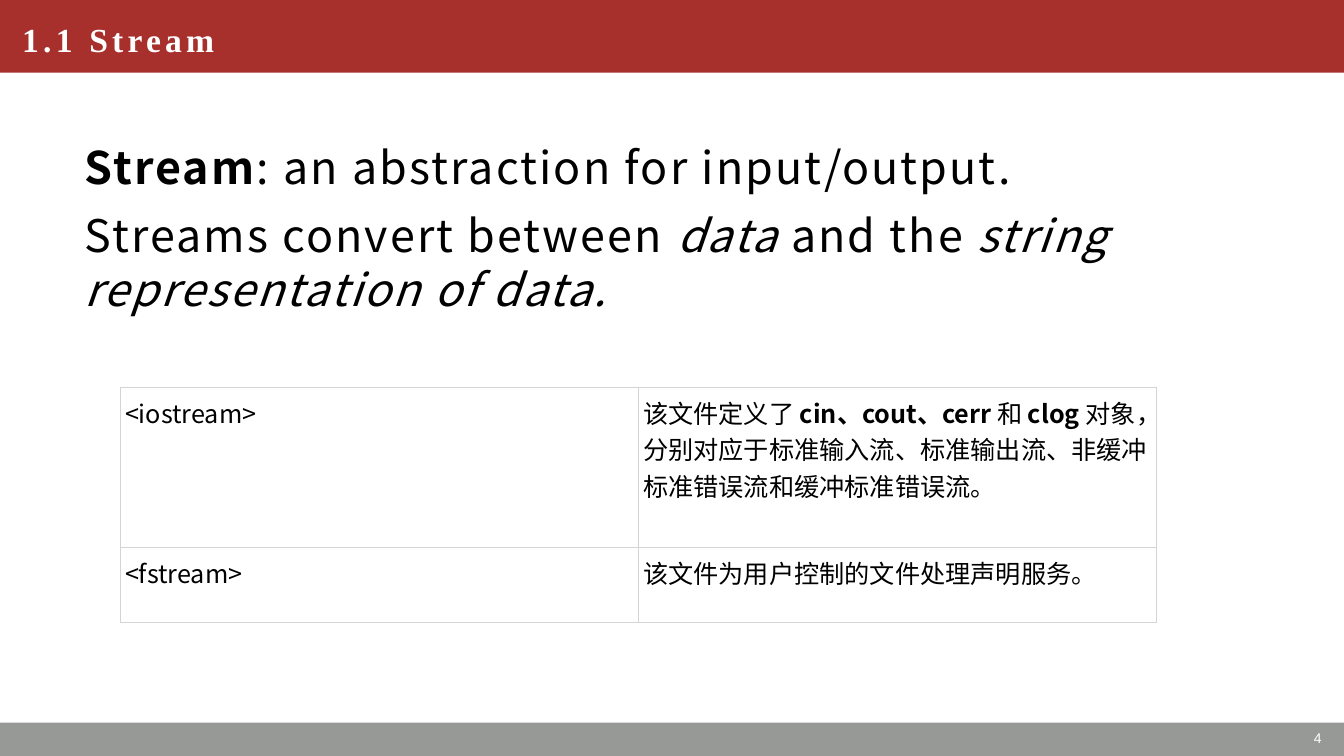
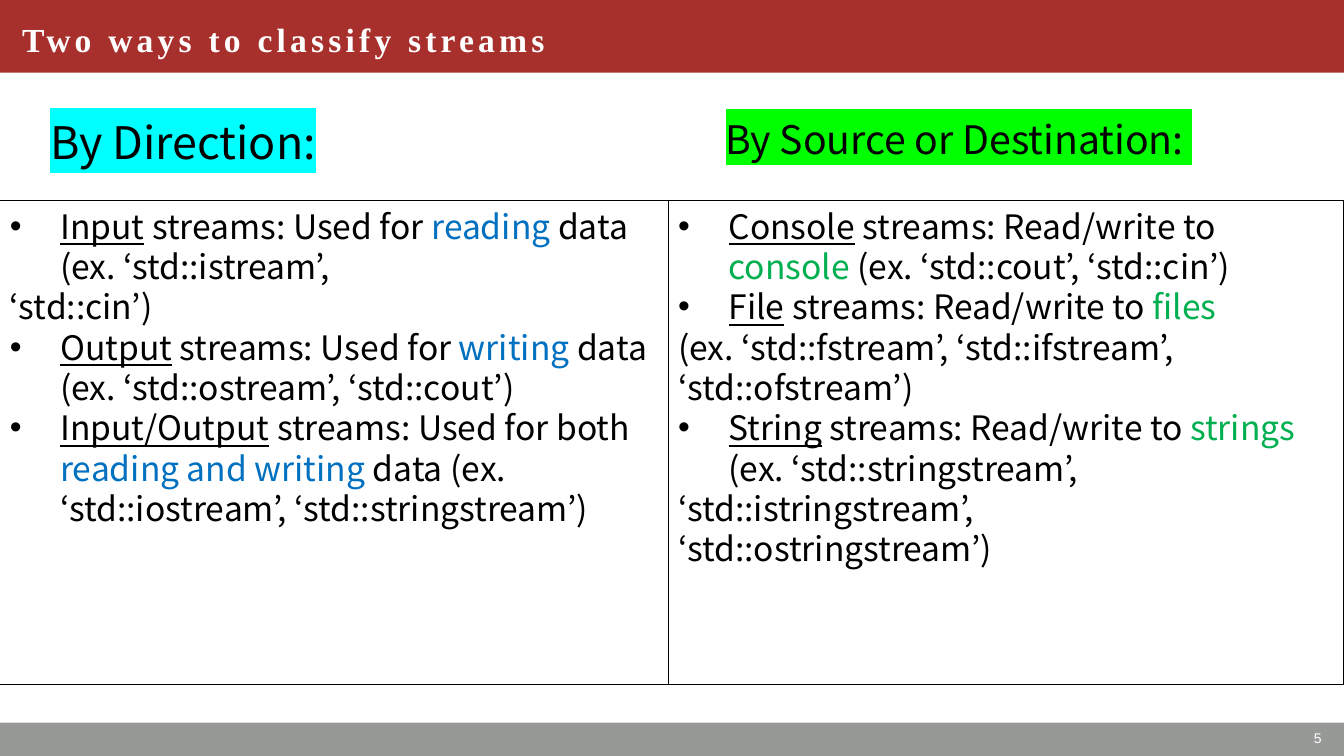
from lxml import etree
from pptx import Presentation
from pptx.dml.color import RGBColor
from pptx.enum.shapes import MSO_SHAPE
from pptx.enum.text import MSO_ANCHOR, MSO_AUTO_SIZE, PP_ALIGN
from pptx.oxml.ns import qn
from pptx.util import Inches, Pt

RECTANGLE = MSO_SHAPE.RECTANGLE
TOP, MIDDLE = MSO_ANCHOR.TOP, MSO_ANCHOR.MIDDLE
LEFT, RIGHT = PP_ALIGN.LEFT, PP_ALIGN.RIGHT
NO_FIT = MSO_AUTO_SIZE.NONE

RED, GREY, WHITE, BLACK = "A8302C", "979997", "FFFFFF", "000000"
BLUE, GREEN, CYAN, LIME = "0070C0", "00B050", "00FFFF", "00FF00"
TABLE_LINE = "D4D4D4"
BODY_FONT, TITLE_FONT, NUMBER_FONT = "Noto Sans CJK JP", "Times New Roman", "Arial"
SLIDE_WIDTH, SLIDE_HEIGHT = 40 / 3, 7.5
HARD_SPACE = chr(160)  # keeps neighbouring words on one line

BOLD, ITALIC, UNDERLINE = {"bold": True}, {"italic": True}, {"underline": True}
IN_BLUE, IN_GREEN = {"color": BLUE}, {"color": GREEN}


def rgb(value):
    return RGBColor.from_string(value)


def add_color(parent, value):
    etree.SubElement(parent, qn("a:srgbClr")).set("val", value)


def add_text(paragraph, text, size=18, font=BODY_FONT, color=BLACK, bold=False,
             italic=False, underline=False, spacing=0, highlight=None):
    """Append one formatted run to a paragraph."""
    run = paragraph.add_run()
    run.text = text
    run.font.size = Pt(size)
    run.font.bold, run.font.italic, run.font.underline = bold, italic, underline
    run.font.color.rgb = rgb(color)
    properties = run.font._element
    if highlight:
        add_color(etree.SubElement(properties, qn("a:highlight")), highlight)
    run.font.name = font
    etree.SubElement(properties, qn("a:ea")).set("typeface", font)
    if spacing:
        properties.set("spc", str(int(spacing * 100)))


def set_bullet(paragraph, bulleted):
    indent = Inches(0.5) if bulleted else 0
    properties = paragraph._p.get_or_add_pPr()
    properties.set("marL", str(indent))
    properties.set("indent", str(-indent))
    if bulleted:
        etree.SubElement(properties, qn("a:buFont")).set("typeface", NUMBER_FONT)
        etree.SubElement(properties, qn("a:buChar")).set("char", "•")
    else:
        etree.SubElement(properties, qn("a:buNone"))


def fill_text(frame, paragraphs, anchor=TOP, align=LEFT, space_after=0, **style):
    """Write paragraphs, each a list of pieces: a string or (string, format).

    A paragraph that starts with an underlined term gets a bullet.
    """
    frame.word_wrap = True
    frame.auto_size = NO_FIT
    frame.vertical_anchor = anchor
    for index, pieces in enumerate(paragraphs):
        paragraph = frame.add_paragraph() if index else frame.paragraphs[0]
        paragraph.alignment = align
        paragraph.line_spacing = 1.0
        paragraph.space_before, paragraph.space_after = Pt(0), Pt(space_after)
        pieces = [piece if isinstance(piece, tuple) else (piece, {}) for piece in pieces]
        set_bullet(paragraph, "underline" in pieces[0][1])
        for text, changes in pieces:
            add_text(paragraph, text, **{**style, **changes})


def place(shape, box):
    shape.left, shape.top, shape.width, shape.height = map(Inches, box)


def add_rectangle(slide, box, fill=None, line=None):
    shape = slide.shapes.add_shape(RECTANGLE, *map(Inches, box))
    shape.shadow.inherit = False
    if fill:
        shape.fill.solid()
        shape.fill.fore_color.rgb = rgb(fill)
    else:
        shape.fill.background()
    if line:
        shape.line.color.rgb = rgb(line)
        shape.line.width = Pt(0.75)
    else:
        shape.line.fill.background()
    return shape


def add_label(slide, box, text, **style):
    label = slide.shapes.add_textbox(*map(Inches, box))
    fill_text(label.text_frame, [[text]], **style)


def add_master_bands(presentation, slide):
    """Draw the header and footer bands and move them to the slide master."""
    tree = presentation.slide_master.shapes.element
    bands = [((0, 0, SLIDE_WIDTH, 0.72), RED),
             ((0, 7.17, SLIDE_WIDTH, 0.33), GREY)]
    for number, (box, fill) in enumerate(bands, start=100):
        band = add_rectangle(slide, box, fill=fill).element
        band.nvSpPr.cNvPr.set("id", str(number))
        tree.insert(2, band)


def start_slide(presentation, layout, title, number):
    slide = presentation.slides.add_slide(presentation.slide_layouts[layout])
    place(slide.shapes.title, (0.12, 0, 7.1, 0.77))
    fill_text(slide.shapes.title.text_frame, [[title]], anchor=MIDDLE, size=24,
              font=TITLE_FONT, color=WHITE, bold=True, spacing=3)
    add_label(slide, (10.26, 7.15, 2.95, 0.35), str(number), anchor=MIDDLE,
              align=RIGHT, size=10, font=NUMBER_FONT, color=WHITE)
    return slide


def set_borders(cell, color):
    properties = cell._tc.get_or_add_tcPr()
    for index, side in enumerate(("lnL", "lnR", "lnT", "lnB")):
        border = etree.Element(qn(f"a:{side}"), w=str(Pt(0.75)))
        add_color(etree.SubElement(border, qn("a:solidFill")), color)
        properties.insert(index, border)


def add_header_table(slide, box, row_heights, rows):
    left, top, width = box
    frame = slide.shapes.add_table(len(rows), len(rows[0]), Inches(left), Inches(top),
                                   Inches(width), Inches(sum(row_heights)))
    table = frame.table
    table.first_row = table.horz_banding = False
    for row_index, row in enumerate(rows):
        table.rows[row_index].height = Inches(row_heights[row_index])
        for column_index, pieces in enumerate(row):
            cell = table.cell(row_index, column_index)
            cell.fill.solid()
            cell.fill.fore_color.rgb = rgb(WHITE)
            set_borders(cell, TABLE_LINE)
            cell.margin_left = cell.margin_right = Inches(0.05)
            cell.margin_top = cell.margin_bottom = Inches(0.07)
            fill_text(cell.text_frame, [pieces])


def add_category(slide, box, heading, heading_box, heading_style, paragraphs):
    """Place a highlighted heading above an outlined list."""
    add_label(slide, heading_box, heading, **heading_style)
    panel = add_rectangle(slide, box, line=BLACK)
    fill_text(panel.text_frame, paragraphs, size=24)


def build_stream_slide(slide):
    # Definition
    body = slide.placeholders[1]
    place(body, (0.74, 1.34, 12, 1.95))
    fill_text(body.text_frame, [
        [("Stream", BOLD), ": an abstraction for input/output."],
        ["Streams convert between ", ("data ", ITALIC), "and the ",
         ("string representation of data.", ITALIC)],
    ], space_after=10, size=32, spacing=1.5)

    # Header files
    add_header_table(slide, (1.19, 3.84, 10.28), (1.05, 0.75), [
        [["<iostream>"],
         [f"该文件定义了{HARD_SPACE}", ("cin、cout、cerr", BOLD),
          f"{HARD_SPACE}和{HARD_SPACE}", ("clog", BOLD),
          f"{HARD_SPACE}对象，分别对应于标准输入流、标准输出流、非缓冲标准错误流和缓冲标准错误流。"]],
        [["<fstream>"], ["该文件为用户控制的文件处理声明服务。"]],
    ])


def build_classification_slide(slide):
    middle, top, height = 6.63, 1.99, 4.8
    # Direction
    add_category(
        slide, (0, top, middle, height), "By Direction:", (0.4, 1.09, 3.31, 0.54),
        {"size": 32, "highlight": CYAN}, [
            [("Input", UNDERLINE), " streams: Used for ", ("reading", IN_BLUE),
             " data (ex. ‘std::istream’,"],
            ["‘std::cin’)"],
            [("Output", UNDERLINE), " streams: Used for ", ("writing", IN_BLUE),
             " data (ex. ‘std::ostream’, ‘std::cout’)"],
            [("Input/Output", UNDERLINE), " streams: Used for both ",
             ("reading and writing ", IN_BLUE),
             "data (ex. ‘std::iostream’, ‘std::stringstream’)"],
        ])
    # Source or destination
    add_category(
        slide, (middle, top, SLIDE_WIDTH - middle, height),
        "By Source or Destination: ", (7.1, 1.09, 4.89, 0.54),
        {"size": 28, "highlight": LIME}, [
            [("Console", UNDERLINE), " streams: Read/write to ", ("console ", IN_GREEN),
             "(ex. ‘std::cout’, ‘std::cin’)"],
            [("File", UNDERLINE), " streams: Read/write to", (" files", IN_GREEN)],
            ["(ex. ‘std::fstream’, ‘std::ifstream’,"],
            ["‘std::ofstream’)"],
            [("String", UNDERLINE), " streams: Read/write to ", ("strings ", IN_GREEN),
             "(ex. ‘std::stringstream’,"],
            ["‘std::istringstream’,"],
            ["‘std::ostringstream’)"],
        ])


def main():
    presentation = Presentation()
    presentation.slide_width = Inches(SLIDE_WIDTH)
    presentation.slide_height = Inches(SLIDE_HEIGHT)
    stream_slide = start_slide(presentation, 1, "1.1 Stream", 4)
    add_master_bands(presentation, stream_slide)
    build_stream_slide(stream_slide)
    build_classification_slide(
        start_slide(presentation, 5, "Two ways to classify streams", 5))
    presentation.save("out.pptx")


if __name__ == "__main__":
    main()
